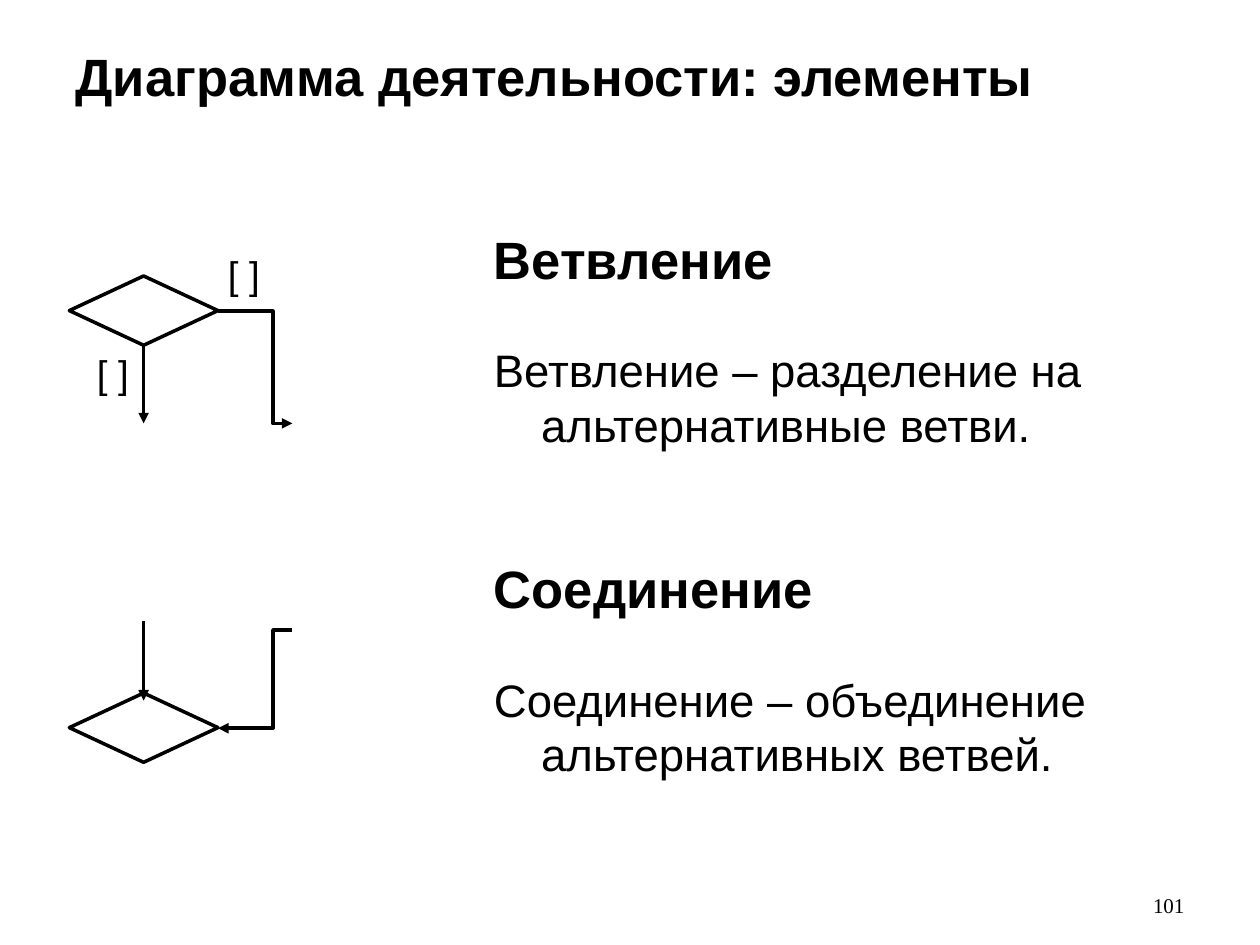
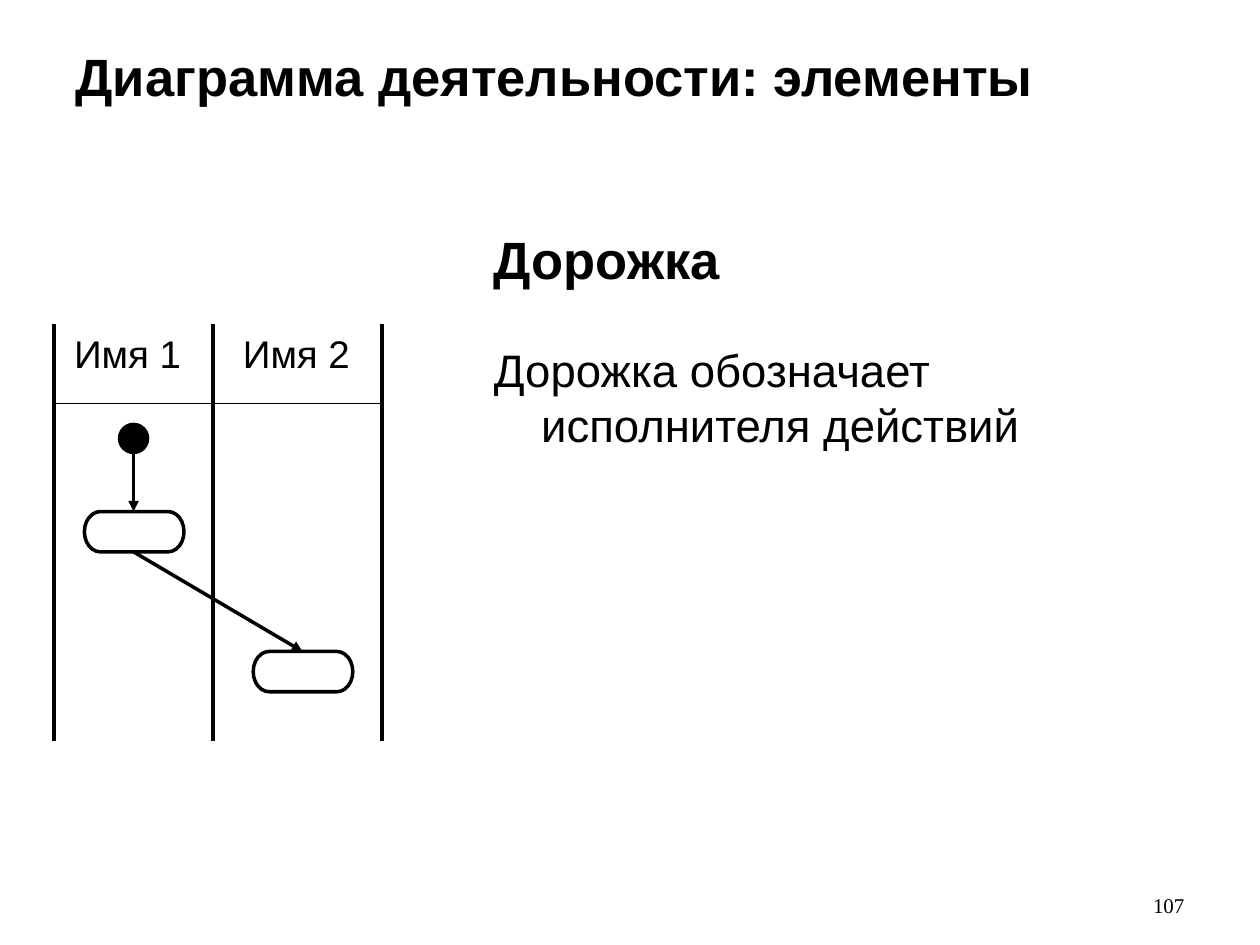
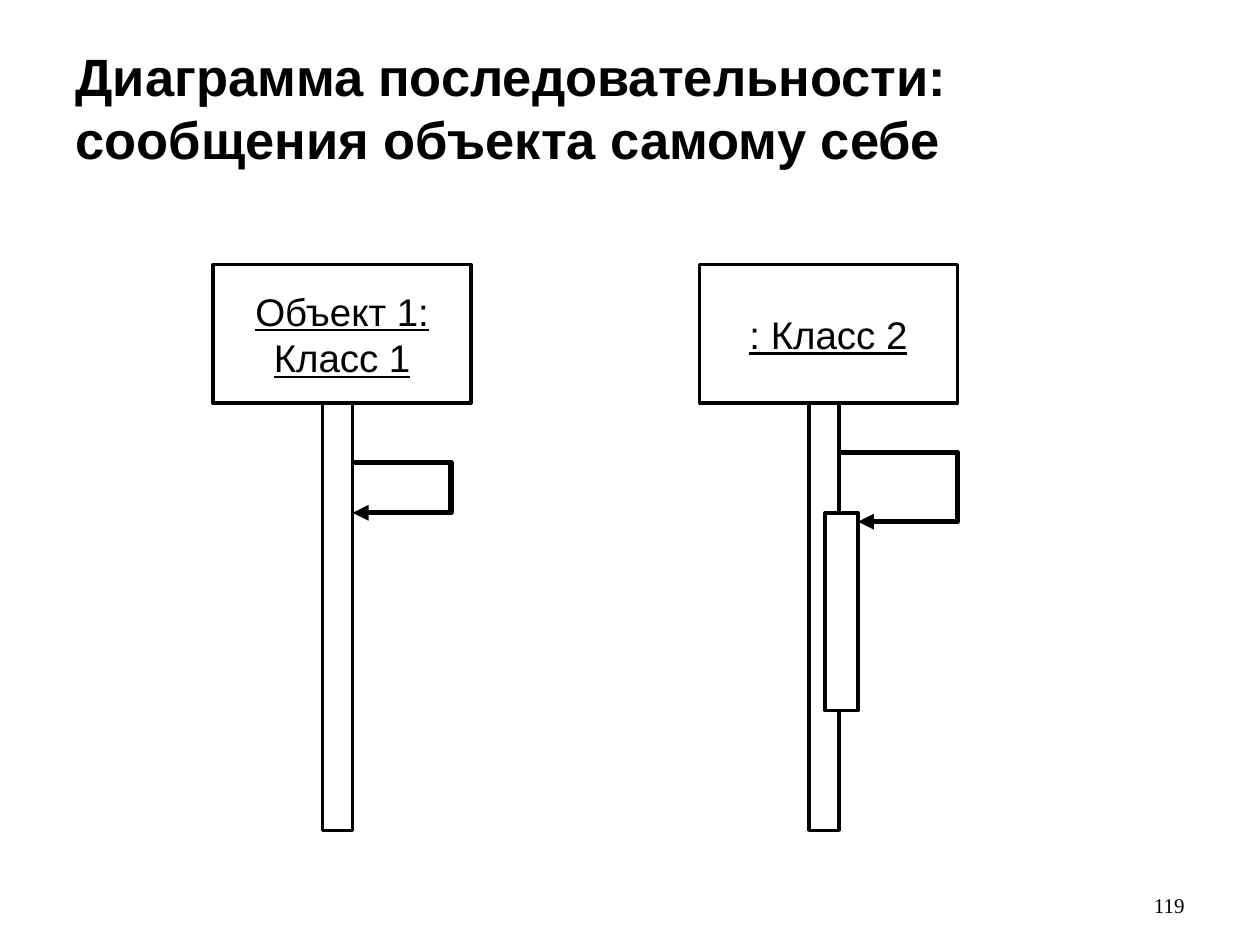
from lxml import etree
from pptx import Presentation
from pptx.dml.color import RGBColor
from pptx.enum.shapes import MSO_CONNECTOR, MSO_SHAPE
from pptx.enum.text import MSO_ANCHOR, MSO_AUTO_SIZE, PP_ALIGN
from pptx.oxml.ns import qn
from pptx.util import Inches, Pt

TOP, MIDDLE, BOTTOM = MSO_ANCHOR.TOP, MSO_ANCHOR.MIDDLE, MSO_ANCHOR.BOTTOM
LEFT, CENTER, RIGHT = PP_ALIGN.LEFT, PP_ALIGN.CENTER, PP_ALIGN.RIGHT
NO_AUTOFIT = MSO_AUTO_SIZE.NONE
STRAIGHT, ELBOW = MSO_CONNECTOR.STRAIGHT, MSO_CONNECTOR.ELBOW
DIAMOND, RECTANGLE = MSO_SHAPE.DIAMOND, MSO_SHAPE.RECTANGLE
OVAL, TERMINATOR = MSO_SHAPE.OVAL, MSO_SHAPE.FLOWCHART_TERMINATOR

SLIDE_WIDTH, SLIDE_HEIGHT = Inches(10), Inches(7.5)
COLUMN, ROW = SLIDE_WIDTH / 100, SLIDE_HEIGHT / 75
INK, PAPER = "000000", "FFFFFF"
BODY_LAYOUT, TITLE_LAYOUT = 1, 5
HEADING = {"name": "Arial", "size": Pt(30), "bold": True}
DEFINITION = {"name": "Arial", "size": Pt(26), "bold": False}
LABEL = {"name": "Arial", "size": Pt(22)}
OBJECT_NAME = {**LABEL, "underline": True}
PAGE_NUMBER = {"name": "Times New Roman", "size": Pt(12)}
ACTIVITY_TITLE = "Диаграмма деятельности: элементы"


def color(value):
    return RGBColor.from_string(value)


def across(columns):
    return round(columns * COLUMN)


def down(rows):
    return round(rows * ROW)


def area(left, top, width, height):
    return across(left), down(top), across(width), down(height)


def apply(target, formats):
    for key, value in formats.items():
        setattr(target, key, value)


def place(shape, box):
    apply(shape, dict(zip(("left", "top", "width", "height"), area(*box))))


def style_paragraph(paragraph, font, align=LEFT, before=0):
    apply(paragraph, {"alignment": align, "space_before": Pt(before)})
    apply(paragraph.font, font)
    paragraph.font.color.rgb = color(INK)


def write(frame, lines, font, align=LEFT, anchor=TOP, wrap=True):
    apply(frame, {"text": "\n".join(lines), "auto_size": NO_AUTOFIT,
                  "word_wrap": wrap, "vertical_anchor": anchor})
    for paragraph in frame.paragraphs:
        style_paragraph(paragraph, font, align)


def add_label(slide, box, words, font=LABEL, **layout):
    frame = slide.shapes.add_textbox(*area(*box)).text_frame
    write(frame, [words], font, **layout)


def add_page(deck, layout, title, number, title_rows=12.5):
    slide = deck.slides.add_slide(deck.slide_layouts[layout])
    place(slide.shapes.title, (5, 3, 90, title_rows))
    write(slide.shapes.title.text_frame, [title], HEADING)
    add_label(slide, (89.4, 68.3, 5.6, 5), number, PAGE_NUMBER,
              align=RIGHT, anchor=BOTTOM)
    return slide


def add_definitions(slide, entries):
    body = slide.placeholders[1]
    place(body, (38.2, 17.5, 56.8, 49.5))
    frame = body.text_frame
    frame.text = "\n".join(line for entry in entries for line in entry)
    apply(frame, {"auto_size": NO_AUTOFIT, "vertical_anchor": TOP})
    for index, paragraph in enumerate(frame.paragraphs):
        properties = paragraph._p.get_or_add_pPr()
        properties.set("marL", str(across(3.75)))
        properties.set("indent", str(-across(3.75)))
        etree.SubElement(properties, qn("a:buNone"))
        is_heading = index % 2 == 0
        before = 0 if index == 0 else 60 if is_heading else 30
        style_paragraph(paragraph, HEADING if is_heading else DEFINITION,
                        before=before)


def outline(shape, weight, arrow=None):
    shape.line.color.rgb = color(INK)
    shape.line.width = Pt(weight)
    if arrow:
        line = shape._element.spPr.find(qn("a:ln"))
        etree.SubElement(line, qn("a:" + arrow), type="triangle")


def add_node(slide, kind, box, fill=None, weight=2):
    node = slide.shapes.add_shape(kind, *area(*box))
    node.shadow.inherit = False
    if fill:
        node.fill.solid()
        node.fill.fore_color.rgb = color(fill)
    else:
        node.fill.background()
    outline(node, weight)
    return node


def add_link(slide, start, end, arrow=None, weight=2, bend=None):
    link = slide.shapes.add_connector(
        ELBOW if bend else STRAIGHT,
        across(start[0]), down(start[1]), across(end[0]), down(end[1]))
    outline(link, weight, arrow)
    properties = link._element.spPr
    etree.SubElement(properties, qn("a:effectLst"))
    if bend:
        guides = properties.find(qn("a:prstGeom")).find(qn("a:avLst"))
        etree.SubElement(guides, qn("a:gd"), name="adj1",
                         fmla=f"val {round(bend * 100000)}")


def add_decision(slide, top, branch_row, arrow):
    add_node(slide, DIAMOND, (5.5, top, 11.8, 5.5))
    add_link(slide, (17.3, top + 2.8), (23.2, branch_row), arrow, bend=0.74)


def add_self_message(slide, start, turn, end_column):
    (left, top), (right, bottom) = start, turn
    builder = slide.shapes.build_freeform(across(left), down(top))
    builder.add_line_segments(
        [(across(x), down(y)) for x, y in
         ((right, top), (right, bottom), (end_column, bottom))], close=False)
    message = builder.convert_to_shape()
    message.shadow.inherit = False
    message.fill.background()
    outline(message, 3, "tailEnd")


def add_object(slide, left, name):
    box = add_node(slide, RECTANGLE, (left, 21, 20.5, 11))
    write(box.text_frame, name, OBJECT_NAME, CENTER, MIDDLE, wrap=False)
    add_node(slide, RECTANGLE, (left + 8.7, 32, 2.4, 33.9), PAPER)


def build_branching(deck):
    slide = add_page(deck, BODY_LAYOUT, ACTIVITY_TITLE, "101")
    add_definitions(slide, [
        ("Ветвление", "Ветвление – разделение на альтернативные ветви."),
        ("Соединение", "Соединение – объединение альтернативных ветвей."),
    ])
    add_decision(slide, 21.9, 33.6, "tailEnd")
    add_decision(slide, 55, 50, "headEnd")
    for top in (27.3, 49.3):
        add_link(slide, (11.4, top), (11.4, top + 6.3), "tailEnd")
    for left, top in ((17.1, 19.4), (6.7, 27.3)):
        add_label(slide, (left, top, 4.5, 4.7), "[ ]", wrap=False)


def build_swimlanes(deck):
    slide = add_page(deck, BODY_LAYOUT, ACTIVITY_TITLE, "107")
    add_definitions(slide, [
        ("Дорожка", "Дорожка обозначает исполнителя действий")])
    borders = (4.3, 16.9, 30.3)
    for border in borders:
        add_link(slide, (border, 25.7), (border, 58.8))
    add_link(slide, (borders[0], 32), (borders[-1], 32), weight=0.75)
    actions = ((10.6, 40.6), (24, 51.7))
    for number, (center, top) in enumerate(actions, 1):
        add_label(slide, (center - 5.7, 25.7, 10.5, 4.7), f"Имя {number}",
                  wrap=False)
        add_node(slide, TERMINATOR, (center - 3.9, top, 7.9, 3.2))
    add_node(slide, OVAL, (9.4, 33.6, 2.4, 2.4), INK, 0.75)
    add_link(slide, (10.6, 35.9), actions[0], "tailEnd")
    add_link(slide, (10.6, 43.8), actions[1], "tailEnd")


def build_self_messages(deck):
    slide = add_page(
        deck, TITLE_LAYOUT,
        "Диаграмма последовательности: сообщения объекта самому себе",
        "119", 16.4)
    add_object(slide, 16.9, ["Объект 1:", "Класс 1"])
    add_self_message(slide, (28, 36.7), (35.8, 40.7), 28)
    add_object(slide, 55.5, [": Класс 2"])
    add_node(slide, RECTANGLE, (65.5, 40.7, 2.6, 15.7), PAPER)
    add_self_message(slide, (66.5, 35.9), (76, 41.4), 68.1)


def main():
    deck = Presentation()
    deck.slide_width, deck.slide_height = SLIDE_WIDTH, SLIDE_HEIGHT
    build_branching(deck)
    build_swimlanes(deck)
    build_self_messages(deck)
    deck.save("out.pptx")


if __name__ == "__main__":
    main()
